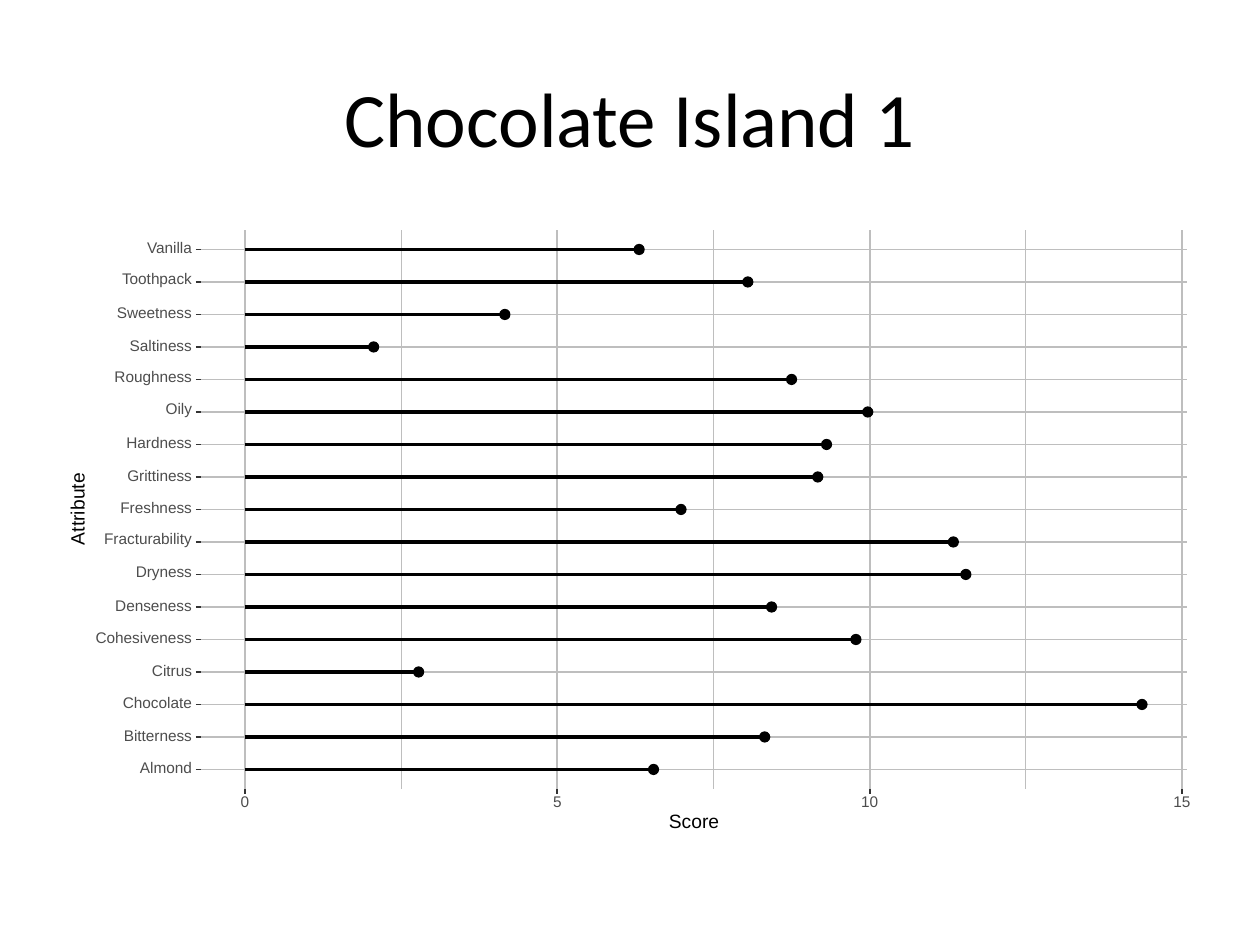
from pptx import Presentation
from pptx.dml.color import RGBColor
from pptx.enum.shapes import MSO_CONNECTOR, MSO_SHAPE
from pptx.enum.text import MSO_ANCHOR, PP_ALIGN
from pptx.oxml.ns import qn
from pptx.util import Emu, Pt
from lxml.etree import SubElement

WHITE = RGBColor(0xFF, 0xFF, 0xFF)
BLACK = RGBColor(0x00, 0x00, 0x00)
GRID_GREY = RGBColor(0xBE, 0xBE, 0xBE)
TICK_GREY = RGBColor(0x33, 0x33, 0x33)
LABEL_GREY = RGBColor(0x4D, 0x4D, 0x4D)

# Attribute, score and label width in px, from top to bottom
RATINGS = [
    ("Vanilla", 6.31, 48), ("Toothpack", 8.05, 73), ("Sweetness", 4.16, 77),
    ("Saltiness", 2.06, 64), ("Roughness", 8.75, 79), ("Oily", 9.97, 29),
    ("Hardness", 9.31, 67), ("Grittiness", 9.17, 67), ("Freshness", 6.98, 73),
    ("Fracturability", 11.34, 90), ("Dryness", 11.54, 58),
    ("Denseness", 8.43, 78), ("Cohesiveness", 9.78, 98), ("Citrus", 2.78, 42),
    ("Chocolate", 14.36, 70), ("Bitterness", 8.32, 71), ("Almond", 6.54, 53),
]

# Plot area in px
PANEL_LEFT, PANEL_TOP, PANEL_RIGHT, PANEL_BOTTOM = 201, 230, 1187, 789
ZERO_X, FIFTEEN_X = 245, 1182
LABEL_RIGHT = 192
TICK = 5
DOT = 10


def px(length):
    return Emu(round(length * 914400 / 126))


def score_x(score):
    return ZERO_X + score * (FIFTEEN_X - ZERO_X) / 15


def row_y(row):
    # The panel extends 0.6 of a row beyond the first and last rows
    pitch = (PANEL_BOTTOM - PANEL_TOP) / (len(RATINGS) - 1 + 2 * 0.6)
    return PANEL_TOP + (row + 0.6) * pitch


def add_line(plot, x1, y1, x2, y2, color, weight):
    line = plot.shapes.add_connector(
        MSO_CONNECTOR.STRAIGHT, px(x1), px(y1), px(x2), px(y2))
    line.line.color.rgb = color
    line.line.width = Pt(weight)
    SubElement(line._element.spPr, qn("a:effectLst"))


def add_filled(plot, preset, left, top, width, height, color, weight):
    shape = plot.shapes.add_shape(
        preset, px(left), px(top), px(width), px(height))
    shape.shadow.inherit = False
    shape.fill.solid()
    shape.fill.fore_color.rgb = color
    shape.line.color.rgb = color
    shape.line.width = Pt(weight)


def add_label(plot, text, left, top, width, height, size, color,
              align=PP_ALIGN.CENTER, rotation=0):
    label = plot.shapes.add_textbox(px(left), px(top), px(width), px(height))
    label.rotation = rotation
    frame = label.text_frame
    frame.margin_left = frame.margin_right = 0
    frame.margin_top = frame.margin_bottom = 0
    frame.word_wrap = False
    frame.vertical_anchor = MSO_ANCHOR.MIDDLE
    frame.text = text
    paragraph = frame.paragraphs[0]
    paragraph.alignment = align
    paragraph.line_spacing = Pt(size)
    format_font(paragraph.runs[0].font, "Arial", size, color)


def format_font(font, name, size, color):
    font.name = name
    font.size = Pt(size)
    font.color.rgb = color


def add_title(slide, text):
    title = slide.shapes.title
    title.left, title.top, title.width, title.height = map(
        px, (63, 38, 1134, 158))
    title.text_frame.text = text
    title.text_frame.vertical_anchor = MSO_ANCHOR.MIDDLE
    paragraph = title.text_frame.paragraphs[0]
    paragraph.alignment = PP_ALIGN.CENTER
    format_font(paragraph.runs[0].font, "Calibri", 44, BLACK)


def add_grid(plot):
    for score in (2.5, 7.5, 12.5):
        x = score_x(score)
        add_line(plot, x, PANEL_BOTTOM, x, PANEL_TOP, GRID_GREY, 0.53)
    for row in range(len(RATINGS)):
        y = row_y(row)
        add_line(plot, PANEL_LEFT, y, PANEL_RIGHT, y, GRID_GREY, 1.07)
    for score in range(0, 16, 5):
        x = score_x(score)
        add_line(plot, x, PANEL_BOTTOM, x, PANEL_TOP, GRID_GREY, 1.07)


def add_lollipops(plot):
    for row, (_, score, _) in enumerate(RATINGS):
        x, y = score_x(score), row_y(row)
        add_filled(plot, MSO_SHAPE.OVAL, x - DOT / 2, y - DOT / 2,
                   DOT, DOT, BLACK, 0.71)
        add_line(plot, x, y, ZERO_X, y, BLACK, 2.13)


def add_attribute_axis(plot):
    for row, (attribute, _, width) in enumerate(RATINGS):
        y = row_y(row)
        # Labels with descenders are taller and share the same bottom edge
        height = 14 if set("gpy") & set(attribute) else 11
        add_label(plot, attribute, LABEL_RIGHT - width, y + 5 - height,
                  width, height, 8.8, LABEL_GREY, PP_ALIGN.RIGHT)
        add_line(plot, PANEL_LEFT - TICK, y, PANEL_LEFT, y, TICK_GREY, 1.07)
    add_label(plot, "Attribute", 42, 502, 74, 14, 11, BLACK, rotation=270)


def add_score_axis(plot):
    for score in range(0, 16, 5):
        x = score_x(score)
        width = 10 * len(str(score))
        add_line(plot, x, PANEL_BOTTOM + TICK, x, PANEL_BOTTOM,
                 TICK_GREY, 1.07)
        add_label(plot, str(score), x - width / 2, 797, width, 11,
                  8.8, LABEL_GREY)
    add_label(plot, "Score", 667, 816, 54, 14, 11, BLACK)


def main():
    presentation = Presentation()
    presentation.slide_width = px(1260)
    presentation.slide_height = px(945)
    slide = presentation.slides.add_slide(presentation.slide_layouts[5])
    add_title(slide, "Chocolate Island 1")

    # Lollipop plot, from back to front
    plot = slide.shapes.add_group_shape()
    add_filled(plot, MSO_SHAPE.RECTANGLE, 63, 221, 1134, 624, WHITE, 0.75)
    add_grid(plot)
    add_lollipops(plot)
    add_attribute_axis(plot)
    add_score_axis(plot)

    presentation.save("out.pptx")


if __name__ == "__main__":
    main()
